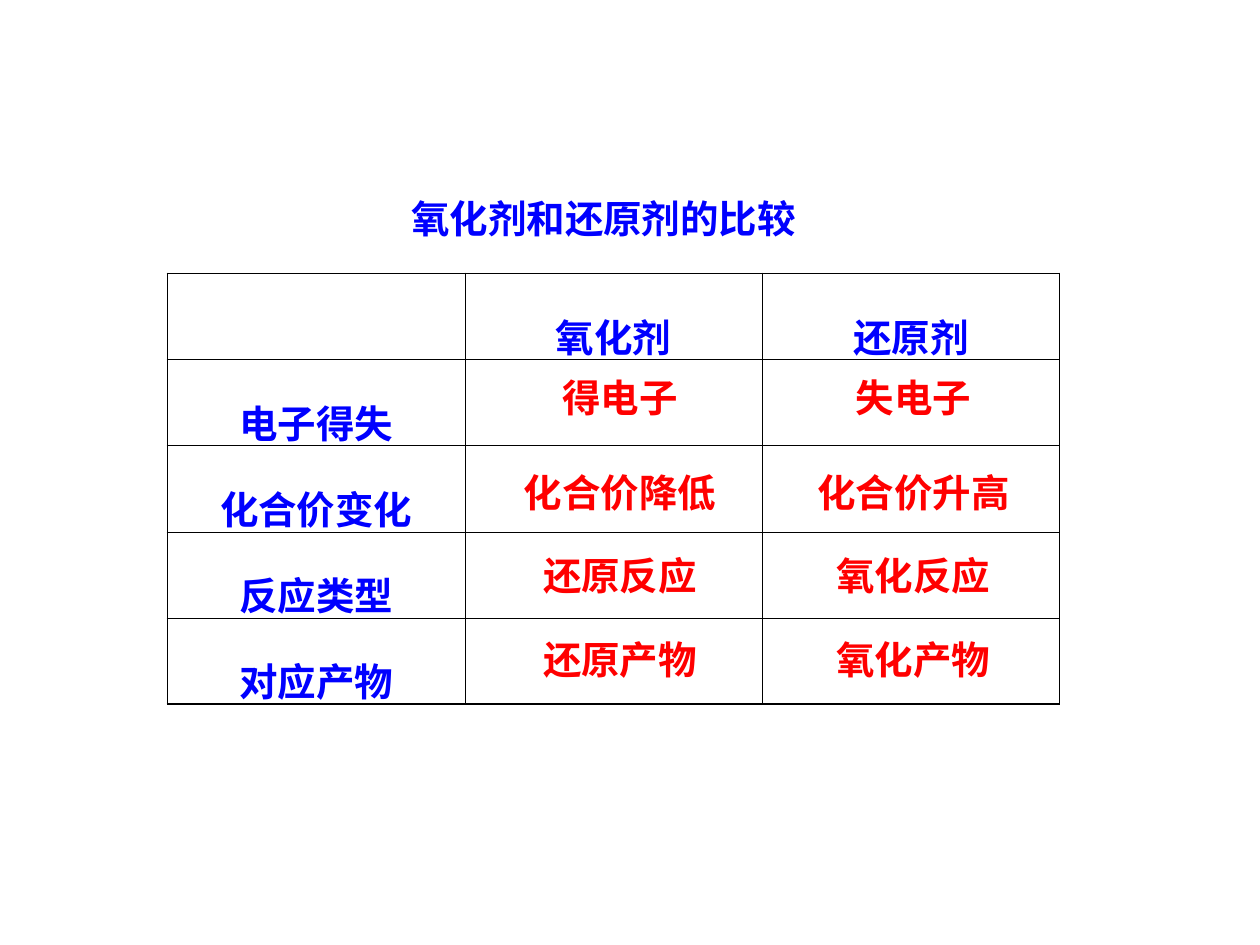
from pptx import Presentation
from pptx.dml.color import RGBColor
from pptx.enum.text import MSO_ANCHOR as Anchor, MSO_AUTO_SIZE as AutoSize, PP_ALIGN as Align
from pptx.oxml.ns import qn
from pptx.util import Inches, Pt
from lxml.etree import SubElement

COLORS = {"label": "0000FF", "answer": "FF0000", "border": "000000"}
TITLE = "氧化剂和还原剂的比较"
HEADINGS = ["", "氧化剂", "还原剂"]
ROW_LABELS = ["电子得失", "化合价变化", "反应类型", "对应产物"]
ANSWERS = [
    (2.92, 1.33, ["得电子", "失电子"]),
    (3.67, 2.5, ["化合价降低", "化合价升高"]),
    (4.33, 2.5, ["还原反应", "氧化反应"]),
    (5, 2.5, ["还原产物", "氧化产物"]),
]
ANSWER_CENTERS = [4.92, 7.25]


class ComparisonSlide:
    """Holds the text style and the current page."""

    font = "Arial"
    size = 22
    thin, thick = 0.45, 1.08

    def __init__(self, deck):
        self.page = deck.slides.add_slide(deck.slide_layouts[6])

    def add_words(self, frame, text, color, line_spacing=None):
        para = frame.paragraphs[0]
        para.alignment = Align.CENTER
        if line_spacing:
            para.line_spacing = line_spacing
        span = para.add_run()
        span.text = text
        span.font.name = self.font
        span.font.size = Pt(self.size)
        span.font.bold = True
        span.font.color.rgb = RGBColor.from_string(COLORS[color])

    def add_text(self, left, top, width, text, color):
        box = self.page.shapes.add_textbox(Inches(left), Inches(top), Inches(width), Inches(0.47))
        box.text_frame.word_wrap = True
        box.text_frame.auto_size = AutoSize.SHAPE_TO_FIT_TEXT
        self.add_words(box.text_frame, text, color)

    def add_borders(self, cell, outer_sides):
        properties = cell._tc.get_or_add_tcPr()
        for side in "LRTB":
            weight = self.thick if side in outer_sides else self.thin
            line = SubElement(properties, qn(f"a:ln{side}"), w=str(Pt(weight)))
            fill = SubElement(line, qn("a:solidFill"))
            SubElement(fill, qn("a:srgbClr"), val=COLORS["border"])

    def add_table(self, left, top, width, height, rows):
        row_count, column_count = len(rows), len(rows[0])
        frame = self.page.shapes.add_table(
            row_count, column_count, Inches(left), Inches(top), Inches(width), Inches(height))
        table = frame.table
        table.first_row = table.horz_banding = False
        for row_index, row in enumerate(rows):
            for column_index, text in enumerate(row):
                cell = table.cell(row_index, column_index)
                edges = {"L": column_index == 0, "R": column_index == column_count - 1,
                         "T": row_index == 0, "B": row_index == row_count - 1}
                self.add_borders(cell, [side for side, outer in edges.items() if outer])
                cell.fill.background()
                if text:
                    cell.vertical_anchor = Anchor.MIDDLE if row_index else Anchor.TOP
                    self.add_words(cell.text_frame, text, "label", 1.5)


def main():
    deck = Presentation()
    deck.slide_width, deck.slide_height = Inches(10), Inches(7.5)
    slide = ComparisonSlide(deck)
    slide.add_text(2.5, 1.5, 4.58, TITLE, "label")
    slide.add_table(1.33, 2.17, 7.08, 3.42, [HEADINGS] + [[label, "", ""] for label in ROW_LABELS])
    for top, width, answers in ANSWERS:
        for center, answer in zip(ANSWER_CENTERS, answers):
            slide.add_text(center - width / 2, top, width, answer, "answer")
    deck.save("out.pptx")


if __name__ == "__main__":
    main()
